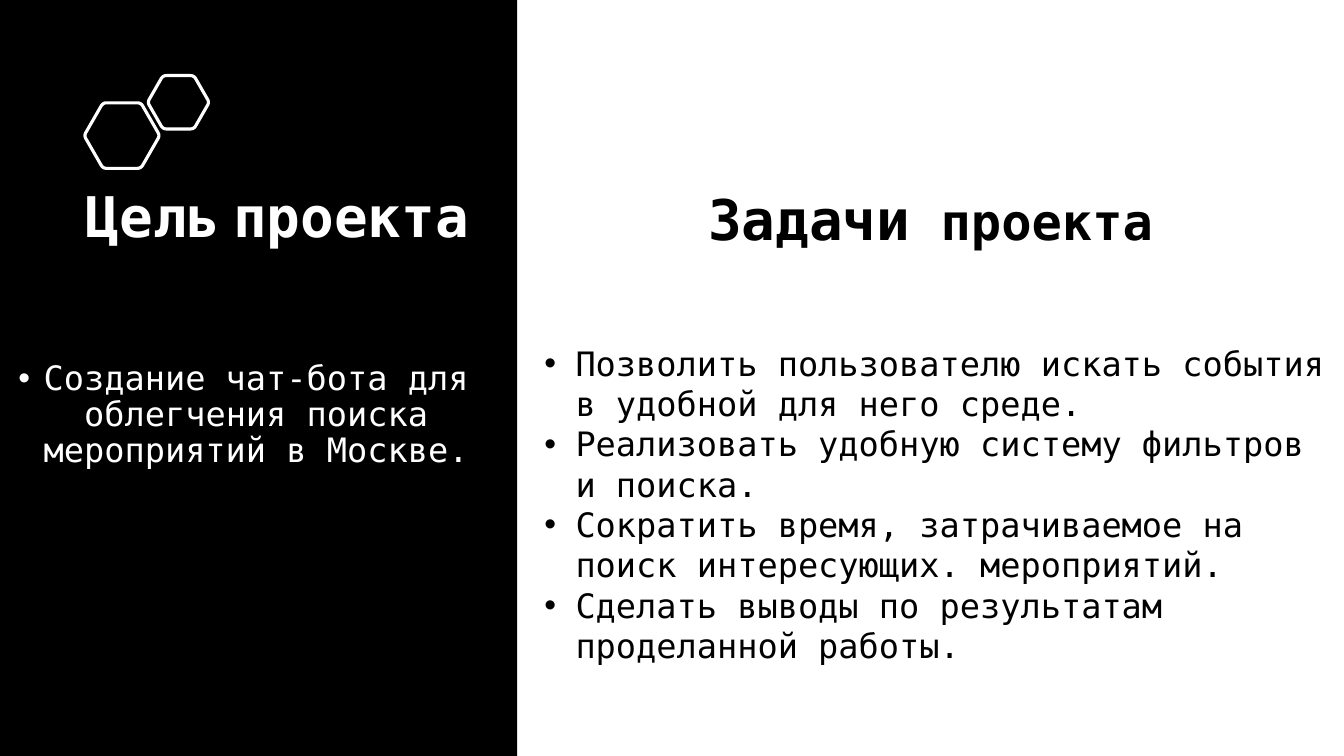
"""Build the slide that states the goal and the tasks of the project."""
import dataclasses
import math

import pptx
import pptx.dml.color
import pptx.enum.shapes
import pptx.enum.text
import pptx.oxml
import pptx.util
from pptx.util import Inches

ANCHOR = pptx.enum.text.MSO_ANCHOR
ALIGN = pptx.enum.text.PP_ALIGN
AUTO_SIZE = pptx.enum.text.MSO_AUTO_SIZE


@dataclasses.dataclass(frozen=True)
class Theme:
    """Colours, font and type sizes of the slide."""
    dark: str = "000000"
    light: str = "FFFFFF"
    font: str = "DejaVu Sans Mono"
    heading: int = 40
    subheading: int = 36
    body: int = 24
    outline: float = 2.25


THEME = Theme()
TASKS = (
    "Позволить пользователю искать события в удобной для него среде.",
    "Реализовать удобную систему фильтров и поиска.",
    "Сократить время, затрачиваемое на поиск интересующих. мероприятий.",
    "Сделать выводы по результатам проделанной работы.",
)


def rgb(colour):
    """Turn a hex string into a colour value."""
    return pptx.dml.color.RGBColor.from_string(colour)


def place(shape, left, top, width, height):
    """Set the position and size of a shape in inches."""
    shape.left, shape.top = Inches(left), Inches(top)
    shape.width, shape.height = Inches(width), Inches(height)


def add_run(paragraph, text, size, colour, bold=False, font=THEME.font):
    """Append one formatted run to a paragraph."""
    run = paragraph.add_run()
    run.text = text
    run.font.size = pptx.util.Pt(size)
    run.font.bold = bold
    run.font.color.rgb = rgb(colour)
    if font:
        run.font.name = font


def set_bullet(paragraph, indent):
    """Give a paragraph a round bullet with a hanging indent."""
    properties = paragraph._p.get_or_add_pPr()
    properties.set("marL", str(Inches(indent)))
    properties.set("indent", str(-Inches(indent)))
    for tag, name, value in (("buFont", "typeface", "Arial"), ("buChar", "char", "•")):
        element = pptx.oxml.parse_xml(
            '<a:%s xmlns:a="http://schemas.openxmlformats.org/drawingml/2006/main" '
            '%s="%s"/>' % (tag, name, value))
        properties.append(element)


def add_text_frame(slide, box, anchor=ANCHOR.TOP, auto_size=AUTO_SIZE.NONE):
    """Add a wrapping text box and return its text frame."""
    frame = slide.shapes.add_textbox(*(Inches(value) for value in box)).text_frame
    frame.word_wrap = True
    frame.auto_size = auto_size
    frame.vertical_anchor = anchor
    return frame


def add_panel(slide):
    """Add the dark panel on the left."""
    panel = slide.shapes.add_shape(
        pptx.enum.shapes.MSO_SHAPE.RECTANGLE, 0, 0, Inches(5.13), Inches(7.5))
    panel.shadow.inherit = False
    panel.fill.solid()
    panel.fill.fore_color.rgb = rgb(THEME.dark)
    panel.line.fill.background()
    slide.shapes._spTree.insert(2, panel._element)


def rounded_hexagon(centre_x, centre_y, half_height, cut=0.035, steps=6):
    """Return the outline of a flat-topped hexagon with rounded corners."""
    radius = half_height / math.cos(math.pi / 6)
    corners = [(centre_x + radius * math.cos(math.pi * turn / 3),
                centre_y + radius * math.sin(math.pi * turn / 3)) for turn in range(6)]
    share = cut / radius
    points = []
    for index, corner in enumerate(corners):
        start, end = (
            [a + (b - a) * share for a, b in zip(corner, neighbour)]
            for neighbour in (corners[index - 1], corners[(index + 1) % 6]))
        for step in range(steps + 1):
            t = step / steps
            points.append(tuple(
                Inches((1 - t) ** 2 * a + 2 * t * (1 - t) * b + t ** 2 * c)
                for a, b, c in zip(start, corner, end)))
    return points


def add_hexagons(slide):
    """Add the pair of outlined hexagons as one group."""
    group = slide.shapes.add_group_shape()
    for hexagon in ((1.21, 1.345, 0.325), (1.77, 1.015, 0.265)):
        points = rounded_hexagon(*hexagon)
        builder = group.shapes.build_freeform(*points[0])
        builder.add_line_segments(points[1:], close=True)
        shape = builder.convert_to_shape()
        shape.shadow.inherit = False
        shape.fill.background()
        shape.line.color.rgb = rgb(THEME.light)
        shape.line.width = pptx.util.Pt(THEME.outline)


def add_title(slide):
    """Place and fill the title placeholder."""
    title = slide.shapes.title
    place(title, 0.75, 1.55, 4.38, 1.25)
    frame = title.text_frame
    frame.word_wrap = True
    frame.auto_size = AUTO_SIZE.NONE
    frame.vertical_anchor = ANCHOR.MIDDLE
    paragraph = frame.paragraphs[0]
    paragraph.alignment = ALIGN.LEFT
    paragraph.line_spacing = 0.9
    for text, font in (("Цель", THEME.font), (" ", None), ("проекта", THEME.font)):
        add_run(paragraph, text, THEME.heading, THEME.light, True, font)


def add_goal(slide):
    """Add the centred goal statement."""
    frame = add_text_frame(slide, (-0.08, 2.69, 4.99, 2.87), ANCHOR.MIDDLE)
    paragraph = frame.paragraphs[0]
    paragraph.alignment = ALIGN.CENTER
    paragraph.line_spacing = 0.9
    paragraph.space_before = pptx.util.Pt(10)
    set_bullet(paragraph, 0.25)
    add_run(paragraph, "Создание чат-бота для облегчения поиска мероприятий в Москве.",
            THEME.body, THEME.light)


def add_tasks(slide):
    """Add the bulleted list of tasks."""
    frame = add_text_frame(slide, (5.3, 3.35, 8.03, 4.41),
                           auto_size=AUTO_SIZE.SHAPE_TO_FIT_TEXT)
    for index, task in enumerate(TASKS):
        paragraph = frame.add_paragraph() if index else frame.paragraphs[0]
        set_bullet(paragraph, 0.31)
        add_run(paragraph, task, THEME.body, THEME.dark)


def add_tasks_heading(slide):
    """Add the heading above the tasks."""
    frame = add_text_frame(slide, (6.73, 1.78, 5, 0.77),
                           auto_size=AUTO_SIZE.SHAPE_TO_FIT_TEXT)
    paragraph = frame.paragraphs[0]
    paragraph.alignment = ALIGN.CENTER
    add_run(paragraph, "Задачи", THEME.heading, THEME.dark, True)
    add_run(paragraph, " проекта", THEME.subheading, THEME.dark, True)


def main():
    """Build and save the presentation."""
    presentation = pptx.Presentation()
    presentation.slide_width = Inches(13.33)
    presentation.slide_height = Inches(7.5)
    slide = presentation.slides.add_slide(presentation.slide_layouts[5])
    slide.background.fill.solid()
    slide.background.fill.fore_color.rgb = rgb(THEME.light)
    add_panel(slide)
    add_hexagons(slide)
    add_title(slide)
    add_goal(slide)
    add_tasks(slide)
    add_tasks_heading(slide)
    presentation.save("out.pptx")


if __name__ == "__main__":
    main()
